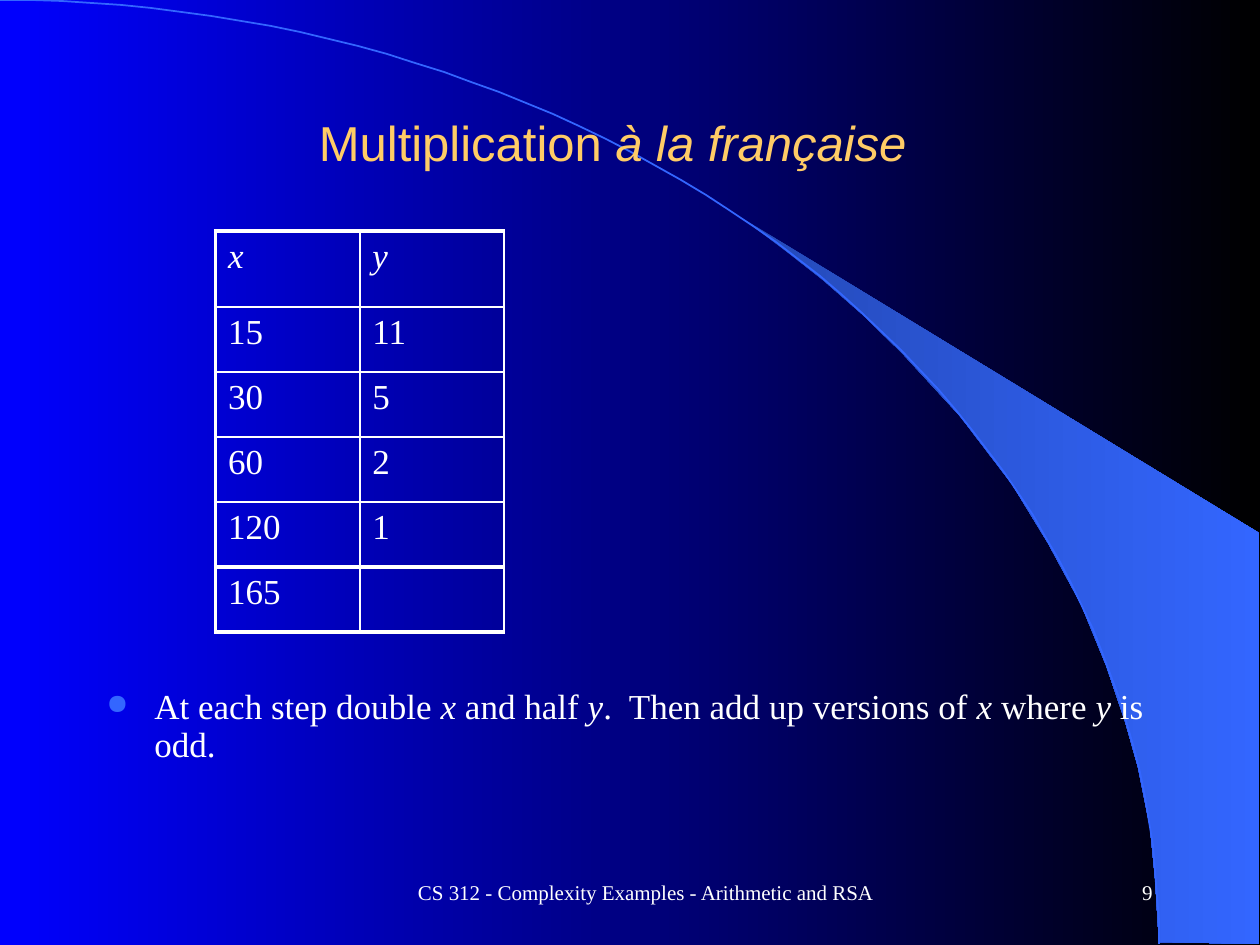
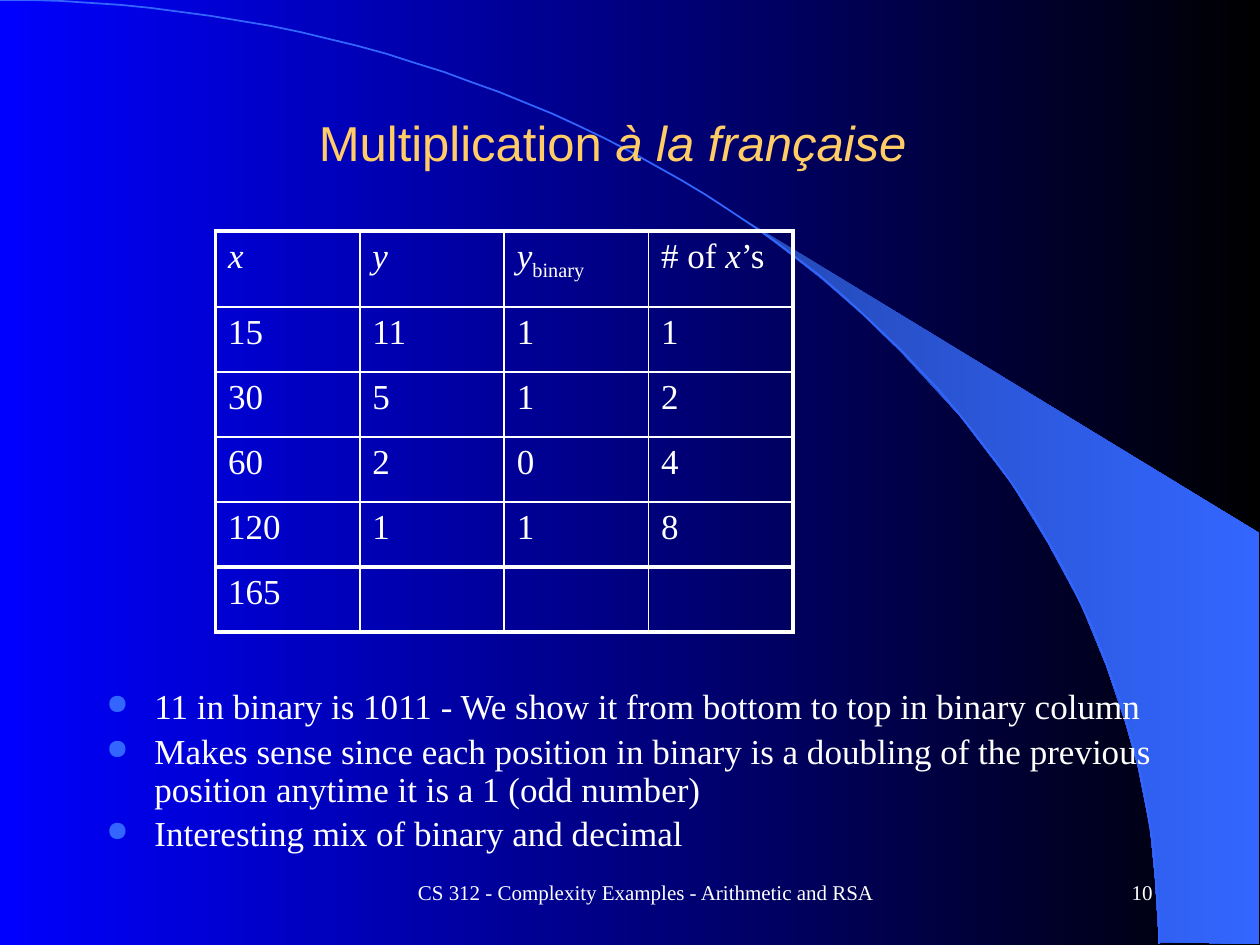
from math import cos, pi, sin

from lxml.etree import SubElement
from pptx import Presentation
from pptx.dml.color import RGBColor
from pptx.enum.text import MSO_ANCHOR, MSO_AUTO_SIZE, PP_ALIGN
from pptx.oxml import parse_xml
from pptx.oxml.ns import nsdecls, qn
from pptx.util import Emu, Pt

SCALE = 914400 / 126
WIDTH, HEIGHT = 1260, 945

WHITE = RGBColor(0xFF, 0xFF, 0xFF)
BLACK = RGBColor(0x00, 0x00, 0x00)
BLUE = RGBColor(0x00, 0x00, 0xFF)
GOLD = RGBColor(0xFF, 0xCC, 0x66)
ACCENT = RGBColor(0x33, 0x66, 0xFF)
DEEP_ACCENT = RGBColor(0x24, 0x49, 0xB6)

TITLE_FONT = {"name": "Arial", "size": Pt(28)}
BODY_FONT = {"name": "Times New Roman", "size": Pt(20)}
FOOTER_FONT = {"name": "Times New Roman", "size": Pt(12)}
BULLET_FORMAT = {"line_spacing": 0.9, "space_before": Pt(4)}
CELL_FORMAT = {"space_before": Pt(4)}

TITLE = "Multiplication *à la française *"
FOOTER = "CS 312 - Complexity Examples - Arithmetic and RSA"
THIN, THICK = Pt(1), Pt(2.25)
INDENT = 48
ARC_RADII = (1159, 944)
ARC_STEPS = 60
WEDGE = [
    (1159, 942), (1259, 944), (1259, 533), (742, 218), (786, 251), (823, 280),
    (863, 315), (902, 353), (960, 416), (1012, 484), (1048, 543), (1081, 604),
    (1106, 665), (1125, 721), (1138, 767), (1150, 827), (1155, 877),
]


def px(length):
    """Turn pixels into EMU."""
    return Emu(round(length * SCALE))


def apply(target, values):
    """Set each attribute of a format dict on the target."""
    for name, value in values.items():
        setattr(target, name, value)


def paint_gradient(fill, start, end):
    """Give a fill a left-to-right gradient."""
    fill.gradient()
    fill.gradient_angle = 0
    for stop, color, position in zip(fill.gradient_stops, (start, end), (0, 1)):
        stop.color.rgb = color
        stop.position = position


def write(paragraph, text, font, color):
    """Add runs to a paragraph: *italic* and _subscript_."""
    for i, part in enumerate(text.split("*")):
        for j, piece in enumerate(part.split("_")):
            if not piece:
                continue
            run = paragraph.add_run()
            run.text = piece
            apply(run.font, {**font, "italic": i % 2 == 1})
            run.font.color.rgb = color
            if j % 2:
                run.font._element.set("baseline", "-25000")


def add_bullet(paragraph):
    """Give a paragraph a hanging round bullet."""
    properties = paragraph._p.get_or_add_pPr()
    properties.set("marL", str(px(INDENT)))
    properties.set("indent", str(-px(INDENT)))
    color = SubElement(properties, qn("a:buClr"))
    SubElement(color, qn("a:srgbClr")).set("val", str(ACCENT))
    SubElement(properties, qn("a:buSzPct")).set("val", "80000")
    SubElement(properties, qn("a:buChar")).set("char", "●")


def set_borders(cell, widths):
    """Draw white cell borders; widths go left, right, top, bottom."""
    properties = cell._tc.get_or_add_tcPr()
    for position, (side, width) in enumerate(zip("LRTB", widths)):
        properties.insert(position, parse_xml(
            f'<a:ln{side} {nsdecls("a")} w="{width}"><a:solidFill>'
            f'<a:srgbClr val="{WHITE}"/></a:solidFill></a:ln{side}>'))


class Deck:
    """The shared style and the slide being built."""

    def __init__(self):
        """Open a presentation and set its size and background."""
        self.presentation = Presentation()
        self.presentation.slide_width = px(WIDTH)
        self.presentation.slide_height = px(HEIGHT)
        paint_gradient(self.presentation.slide_master.background.fill, BLUE, BLACK)
        self.slide = None

    def start_slide(self, number):
        """Add a slide with backdrop, footer, number and title."""
        layout = self.presentation.slide_layouts.get_by_name("Title Only")
        self.slide = self.presentation.slides.add_slide(layout)
        self.add_backdrop()
        self.add_footer(FOOTER, (399, 861, 494, 63), PP_ALIGN.CENTER)
        self.add_footer(str(number), (903, 861, 262, 63), PP_ALIGN.RIGHT)
        self.add_title(TITLE)

    def add_outline(self, points, close):
        """Add a freeform through the points."""
        builder = self.slide.shapes.build_freeform(*points[0], scale=SCALE)
        builder.add_line_segments(points[1:], close=close)
        shape = builder.convert_to_shape()
        shape.shadow.inherit = False
        return shape

    def add_backdrop(self):
        """Draw the gradient wedge and the quarter-ellipse line."""
        wedge = self.add_outline(WEDGE, True)
        paint_gradient(wedge.fill, DEEP_ACCENT, ACCENT)
        wedge.line.fill.background()
        radius_x, radius_y = ARC_RADII
        angles = [pi / 2 * step / ARC_STEPS for step in range(ARC_STEPS + 1)]
        arc = self.add_outline([(round(radius_x * sin(angle)),
                                 round(radius_y * (1 - cos(angle))))
                                for angle in angles], False)
        arc.fill.background()
        arc.line.color.rgb = ACCENT
        arc.line.width = Pt(1)

    def add_title(self, text):
        """Format the title placeholder and bring it to the front."""
        title = self.slide.shapes.title
        apply(title, dict(zip(("left", "top", "width", "height"),
                              map(px, (84, 84, 1071, 116)))))
        apply(title.text_frame, {"word_wrap": True, "auto_size": MSO_AUTO_SIZE.NONE,
                                 "vertical_anchor": MSO_ANCHOR.MIDDLE})
        paragraph = title.text_frame.paragraphs[0]
        paragraph.alignment = PP_ALIGN.CENTER
        write(paragraph, text, TITLE_FONT, GOLD)
        self.slide.shapes.element.append(title.element)

    def add_text_frame(self, box, anchor):
        """Add a wrapping text box and return its frame."""
        frame = self.slide.shapes.add_textbox(*map(px, box)).text_frame
        apply(frame, {"word_wrap": True, "vertical_anchor": anchor})
        return frame

    def add_footer(self, text, box, alignment):
        """Add one small text at the foot of the slide."""
        paragraph = self.add_text_frame(box, MSO_ANCHOR.MIDDLE).paragraphs[0]
        paragraph.alignment = alignment
        write(paragraph, text, FOOTER_FONT, WHITE)

    def add_bullets(self, items):
        """Add the bulleted body text."""
        frame = self.add_text_frame((94, 683, 1071, 158), MSO_ANCHOR.TOP)
        for index, item in enumerate(items):
            paragraph = frame.add_paragraph() if index else frame.paragraphs[0]
            apply(paragraph, BULLET_FORMAT)
            add_bullet(paragraph)
            write(paragraph, item, BODY_FONT, WHITE)

    def add_table(self, rows, right_edge):
        """Add the ruled table; its last row is the total."""
        heights = [76] + [65] * (len(rows) - 1)
        columns = len(rows[0])
        column_width = 144.4
        table = self.slide.shapes.add_table(
            len(rows), columns, px(215.5), px(231),
            px(column_width * columns), px(sum(heights))).table
        apply(table, {"first_row": False, "horz_banding": False})
        for column in table.columns:
            column.width = px(column_width)
        last_row, last_column = len(rows) - 1, columns - 1
        for r, values in enumerate(rows):
            table.rows[r].height = px(heights[r])
            for c, value in enumerate(values):
                cell = table.cell(r, c)
                cell.fill.background()
                set_borders(cell, (
                    THIN if c else THICK,
                    right_edge if c == last_column else THIN,
                    THICK if r in (0, last_row) else THIN,
                    THICK if r >= last_row - 1 else THIN))
                paragraph = cell.text_frame.paragraphs[0]
                apply(paragraph, CELL_FORMAT)
                write(paragraph, value, BODY_FONT, WHITE)


def main():
    """Build both slides and save them."""
    doubling = [("*x*", "*y*"), ("15", "11"), ("30", "5"), ("60", "2"),
                ("120", "1"), ("165", "")]
    binary = [("*y*_binary_", "# of *x*’s"), ("1", "1"), ("1", "2"), ("0", "4"),
              ("1", "8"), ("", "")]
    deck = Deck()

    deck.start_slide(9)
    deck.add_bullets(["At each step double *x* and half *y*.  Then add up "
                      "versions of *x *where *y* is odd."])
    deck.add_table(doubling, THIN)

    deck.start_slide(10)
    deck.add_bullets([
        "11 in binary is 1011 - We show it from bottom to top in binary column",
        "Makes sense since each position in binary is a doubling of the previous "
        "position anytime it is a 1 (odd number)",
        "Interesting mix of binary and decimal",
    ])
    deck.add_table([left + right for left, right in zip(doubling, binary)], THICK)

    deck.presentation.save("out.pptx")


main()
